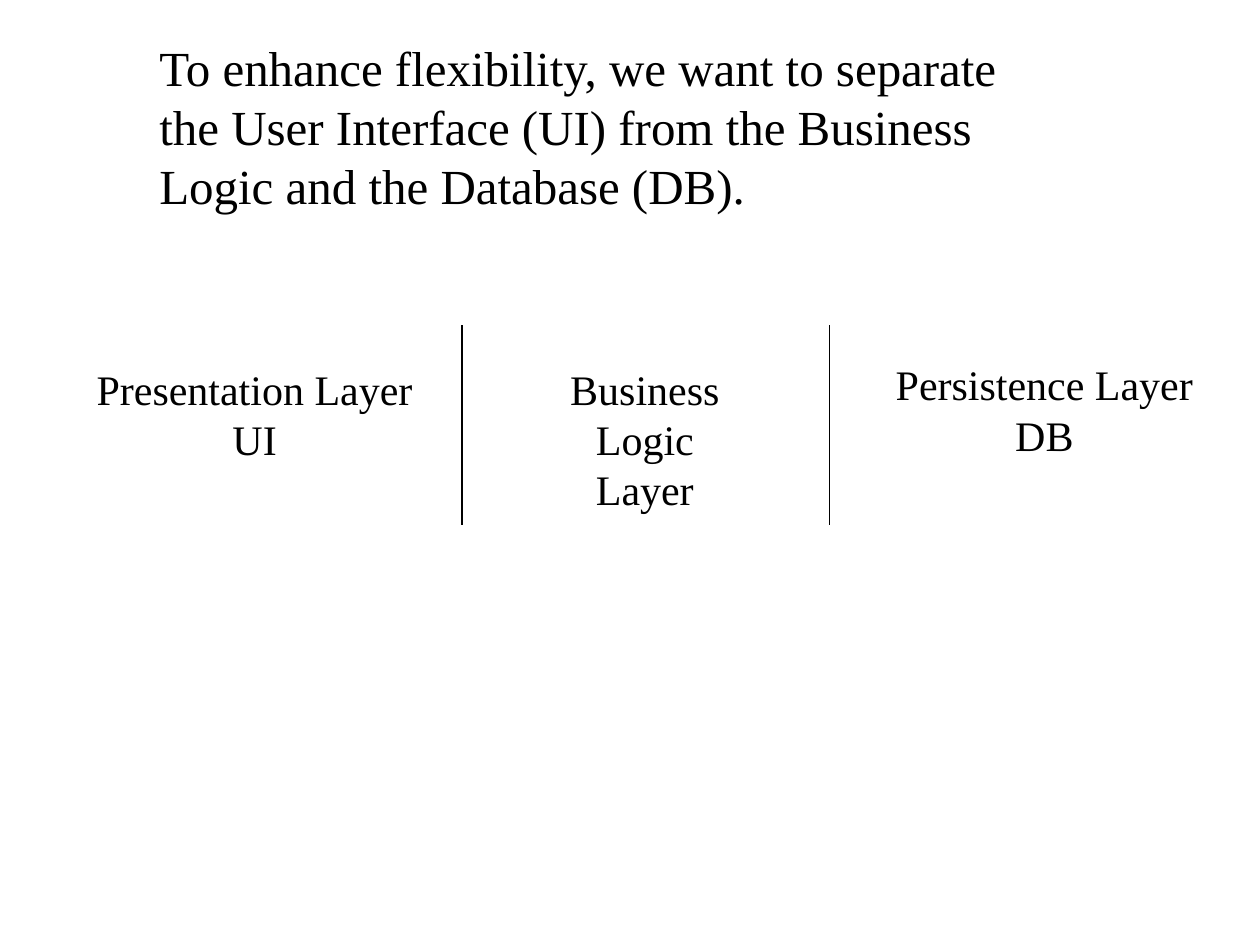
from pptx import Presentation
from pptx.dml.color import RGBColor
from pptx.enum.shapes import MSO_CONNECTOR as Link
from pptx.enum.text import MSO_AUTO_SIZE as Fit, PP_ALIGN as Align
from pptx.oxml.ns import qn
from pptx.util import Pt

BLACK = RGBColor(0, 0, 0)
FONT = "Times New Roman"
INTRO = ("To enhance flexibility, we want to separate the User Interface (UI) "
         "from the Business Logic and the Database (DB).")
# Text, left, top and width of each layer, relative to the diagram
LAYERS = [
    ("Presentation Layer\nUI", 0, 18, 195),
    ("Business Logic\nLayer", 240, 18, 161),
    ("Persistence Layer\nDB", 456.5, 15.5, 184.5),
]
BORDERS = [216, 426]


def add_text(slide, text, box, size, align, wrap):
    shape = slide.shapes.add_textbox(*map(Pt, box))
    frame = shape.text_frame
    frame.text = text
    frame.word_wrap = wrap
    frame.auto_size = Fit.SHAPE_TO_FIT_TEXT
    for para in frame.paragraphs:
        para.alignment = align
        for run in para.runs:
            run.font.name = FONT
            run.font.size = Pt(size)
            run.font.color.rgb = BLACK


def add_border(slide, x, top, height):
    line = slide.shapes.add_connector(
        Link.STRAIGHT, Pt(x), Pt(top), Pt(x), Pt(top + height))
    line.line.color.rgb = BLACK
    line.line.width = Pt(0.75)
    props = line._element.spPr
    props.append(props.makeelement(qn("a:effectLst"), {}))


def add_layers(slide, left, top, height):
    """Place the layer names side by side with borders between them."""
    for text, x, y, width in LAYERS:
        box = left + x, top + y, width, 64.8
        add_text(slide, text, box, 24, Align.CENTER, False)
    for x in BORDERS:
        add_border(slide, left + x, top, height)


def main():
    deck = Presentation()
    deck.slide_width, deck.slide_height = Pt(720), Pt(540)
    slide = deck.slides.add_slide(deck.slide_layouts[6])
    add_text(slide, INTRO, (84, 18, 522, 108), 28, Align.LEFT, True)
    add_layers(slide, 48, 186, 114)
    deck.save("out.pptx")


if __name__ == "__main__":
    main()
